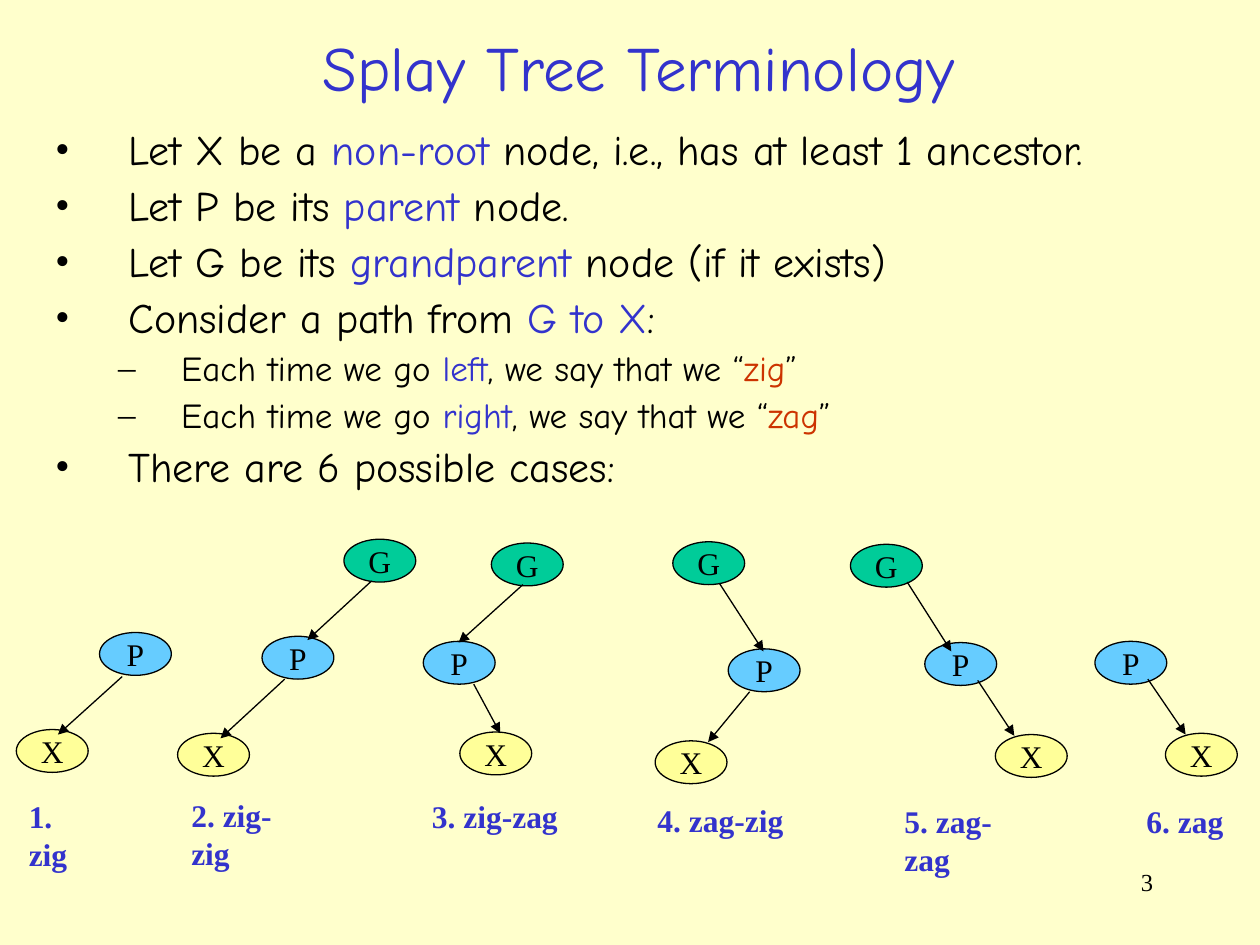
import lxml.etree
import pptx
import pptx.dml.color
import pptx.enum.shapes
import pptx.enum.text
import pptx.oxml.ns
import pptx.util

Inches = pptx.util.Inches
Pt = pptx.util.Pt
RGBColor = pptx.dml.color.RGBColor
ALIGN = pptx.enum.text.PP_ALIGN
ANCHOR = pptx.enum.text.MSO_ANCHOR
AUTO_SIZE = pptx.enum.text.MSO_AUTO_SIZE

CREAM = RGBColor(0xFF, 0xFF, 0xCC)
BLACK = RGBColor(0, 0, 0)
BLUE = RGBColor(0x33, 0x33, 0xCC)
RED = RGBColor(0xCC, 0x33, 0x00)
NODE_FILLS = {
    "G": RGBColor(0x00, 0xCC, 0x99),
    "P": RGBColor(0x66, 0xCC, 0xFF),
    "X": RGBColor(0xFF, 0xFF, 0x99),
}

HEADING_FONT = "Comic Neue"
DIAGRAM_FONT = "Times New Roman"
NODE_WIDTH, NODE_HEIGHT = 0.57, 0.34

# Per outline level: bullet, font size, left margin, hanging indent, space before
LEVELS = [("•", 24, 0.58, 0.58, 6), ("–", 20, 1, 0.5, 5)]

# Each line: level, then (text, colour) runs
DEFINITIONS = [
    (0, [("Let X be a ", BLACK), ("non-root", BLUE),
         (" node, i.e., has at least 1 ancestor.", BLACK)]),
    (0, [("Let P be its ", BLACK), ("parent ", BLUE), ("node.", BLACK)]),
    (0, [("Let G be its ", BLACK), ("grandparent ", BLUE),
         ("node (if it exists)", BLACK)]),
    (0, [("Consider a path from ", BLACK), ("G to X", BLUE), (":", BLACK)]),
    (1, [("Each time we go ", BLACK), ("left", BLUE),
         (", we say that we “", BLACK), ("zig", RED), ("”", BLACK)]),
    (1, [("Each time we go ", BLACK), ("right", BLUE),
         (", we say that we “", BLACK), ("zag", RED), ("”", BLACK)]),
    (0, [("There are 6 possible cases:", BLACK)]),
]

# Each case: label, label (left, top, width), node corners, arrows (from, to)
CASES = [
    ("1. zig", (0.13, 6.28, 0.75),
     {"P": (0.79, 5.02), "X": (0.13, 5.79)},
     [((0.97, 5.37), (0.46, 5.83))]),
    ("2. zig-zig", (1.42, 6.27, 1.14),
     {"G": (2.73, 4.28), "P": (2.08, 5.05), "X": (1.41, 5.82)},
     [((2.95, 4.61), (2.44, 5.08)), ((2.26, 5.39), (1.75, 5.86))]),
    ("3. zig-zag", (3.33, 6.28, 1.2),
     {"G": (3.9, 4.31), "P": (3.36, 5.09), "X": (3.65, 5.81)},
     [((4.15, 4.64), (3.64, 5.1)), ((3.76, 5.43), (3.97, 5.82))]),
    ("4. zag-zig", (5.12, 6.31, 1.2),
     {"G": (5.34, 4.3), "P": (5.78, 5.15), "X": (5.2, 5.88)},
     [((5.71, 4.63), (6.06, 5.17)), ((5.95, 5.49), (5.62, 5.89))]),
    ("5. zag-zag", (7.08, 6.32, 1.25),
     {"G": (6.75, 4.32), "P": (7.34, 5.1), "X": (7.9, 5.83)},
     [((7.2, 4.62), (7.55, 5.17)), ((7.76, 5.4), (8.05, 5.84))]),
    ("6. zag", (9, 6.32, 0.81),
     {"P": (8.69, 5.09), "X": (9.25, 5.82)},
     [((9.11, 5.39), (9.41, 5.83))]),
]


def add_span(para, text, font, size, color, bold=False):
    span = para.add_run()
    span.text = text
    span.font.name = font
    span.font.size = Pt(size)
    span.font.color.rgb = color
    span.font.bold = bold


def add_child(parent, tag, **attributes):
    """Append a DrawingML element such as 'a:buChar'."""
    child = lxml.etree.SubElement(parent, pptx.oxml.ns.qn(tag))
    for name, value in attributes.items():
        child.set(name, value)
    return child


def set_title(slide, text):
    title = slide.shapes.title
    title.left, title.top = Inches(0.3), Inches(0.15)
    title.width, title.height = Inches(9.54), Inches(0.76)
    frame = title.text_frame
    frame.auto_size = AUTO_SIZE.NONE
    frame.vertical_anchor = ANCHOR.MIDDLE
    para = frame.paragraphs[0]
    para.alignment = ALIGN.CENTER
    add_span(para, text, HEADING_FONT, 36, BLUE)


def add_text_box(slide, left, top, width, height, wrap):
    box = slide.shapes.add_textbox(
        Inches(left), Inches(top), Inches(width), Inches(height))
    box.text_frame.word_wrap = wrap
    return box.text_frame


def format_bullet(para, level):
    """Set the level's spacing, hanging indent and bullet."""
    bullet, _, margin, hanging, space_before = LEVELS[level]
    para.level = level
    para.line_spacing = 0.9
    para.space_before = Pt(space_before)
    properties = para._p.get_or_add_pPr()
    properties.set("marL", str(Inches(margin)))
    properties.set("indent", str(-Inches(hanging)))
    color = add_child(properties, "a:buClr")
    add_child(color, "a:srgbClr", val=str(BLACK))
    add_child(properties, "a:buFont", typeface=DIAGRAM_FONT)
    add_child(properties, "a:buChar", char=bullet)


def add_definitions(slide):
    frame = add_text_box(slide, 0.34, 0.98, 9.37, 3.13, wrap=True)
    for index, (level, spans) in enumerate(DEFINITIONS):
        para = frame.add_paragraph() if index else frame.paragraphs[0]
        format_bullet(para, level)
        for text, color in spans:
            add_span(para, text, HEADING_FONT, LEVELS[level][1], color)


def add_node(slide, name, left, top):
    node = slide.shapes.add_shape(
        pptx.enum.shapes.MSO_SHAPE.OVAL, Inches(left), Inches(top),
        Inches(NODE_WIDTH), Inches(NODE_HEIGHT))
    node.shadow.inherit = False
    node.fill.solid()
    node.fill.fore_color.rgb = NODE_FILLS[name]
    node.line.color.rgb = BLACK
    node.line.width = Pt(0.75)
    frame = node.text_frame
    frame.word_wrap = False
    frame.vertical_anchor = ANCHOR.MIDDLE
    para = frame.paragraphs[0]
    para.alignment = ALIGN.CENTER
    add_span(para, name, DIAGRAM_FONT, 18, BLACK)


def add_arrow(slide, start, end):
    arrow = slide.shapes.add_connector(
        pptx.enum.shapes.MSO_CONNECTOR.STRAIGHT,
        *(Inches(value) for value in start + end))
    arrow.line.color.rgb = BLACK
    arrow.line.width = Pt(0.75)
    add_child(arrow.line._get_or_add_ln(), "a:tailEnd", type="triangle")
    add_child(arrow._element.spPr, "a:effectLst")


def add_case(slide, label, label_place, nodes, arrows):
    for name, (left, top) in nodes.items():
        add_node(slide, name, left, top)
    for start, end in arrows:
        add_arrow(slide, start, end)
    frame = add_text_box(slide, *label_place, 0.4, wrap=False)
    frame.auto_size = AUTO_SIZE.SHAPE_TO_FIT_TEXT
    add_span(frame.paragraphs[0], label, DIAGRAM_FONT, 18, BLUE, bold=True)


def add_page_number(slide, number):
    frame = add_text_box(slide, 7.17, 6.83, 2.08, 0.5, wrap=True)
    para = frame.paragraphs[0]
    para.alignment = ALIGN.RIGHT
    add_span(para, number, DIAGRAM_FONT, 14, BLACK)


def main():
    deck = pptx.Presentation()
    deck.slide_width, deck.slide_height = Inches(10), Inches(7.5)
    slide = deck.slides.add_slide(deck.slide_layouts.get_by_name("Title Only"))
    slide.background.fill.solid()
    slide.background.fill.fore_color.rgb = CREAM
    set_title(slide, "Splay Tree Terminology")
    add_definitions(slide)
    for case in CASES:
        add_case(slide, *case)
    add_page_number(slide, "3")
    deck.save("out.pptx")


if __name__ == "__main__":
    main()
